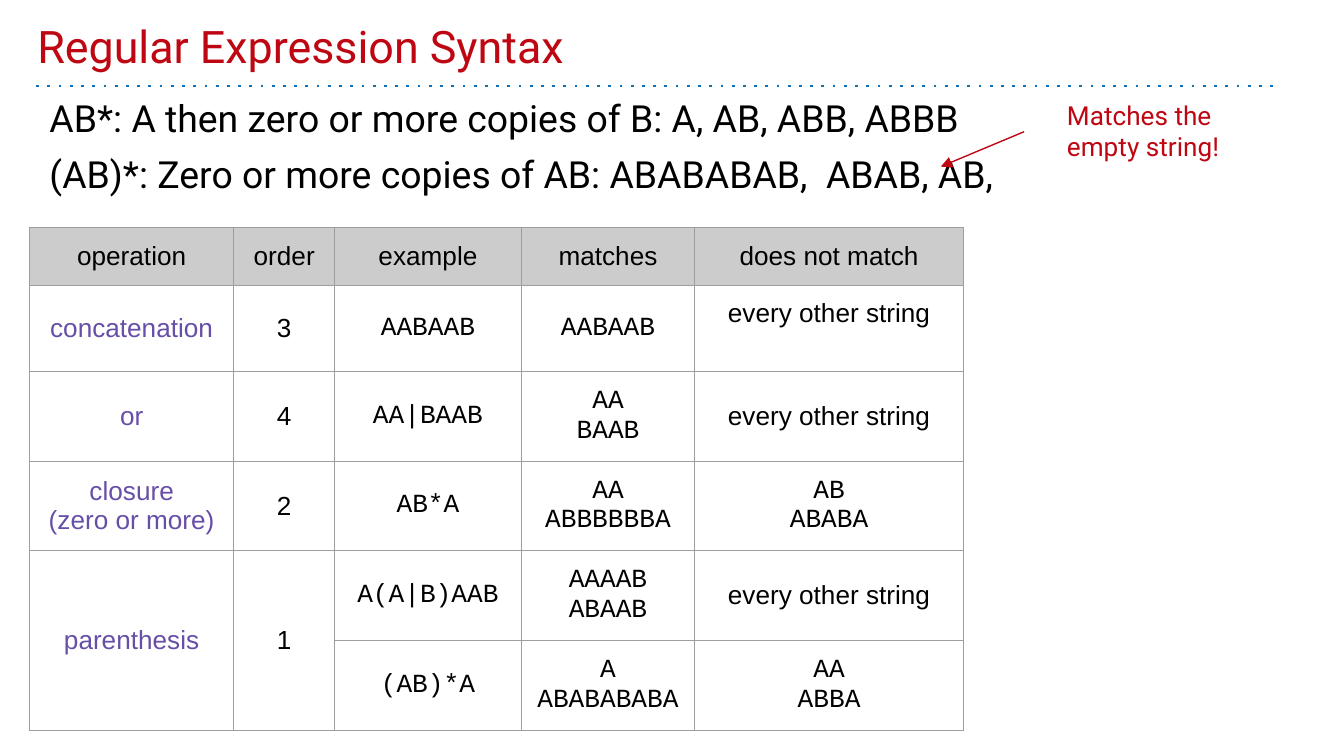
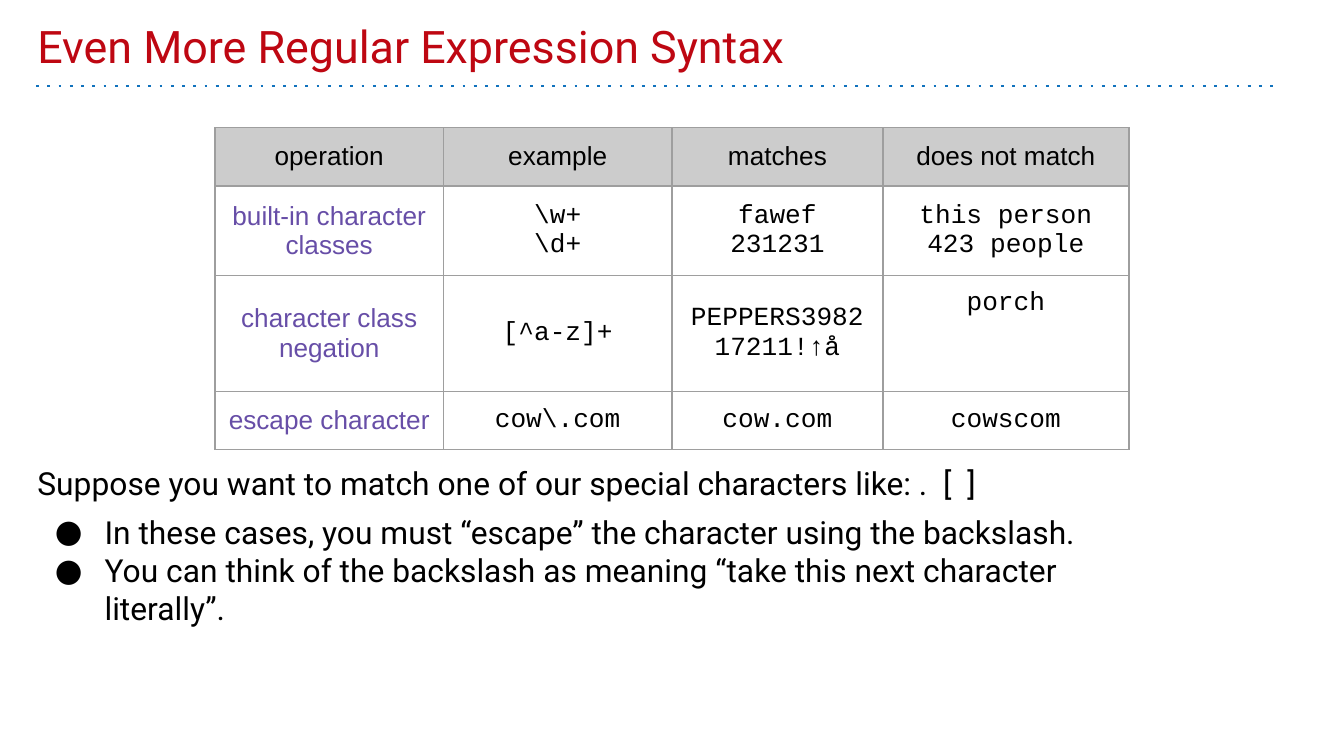
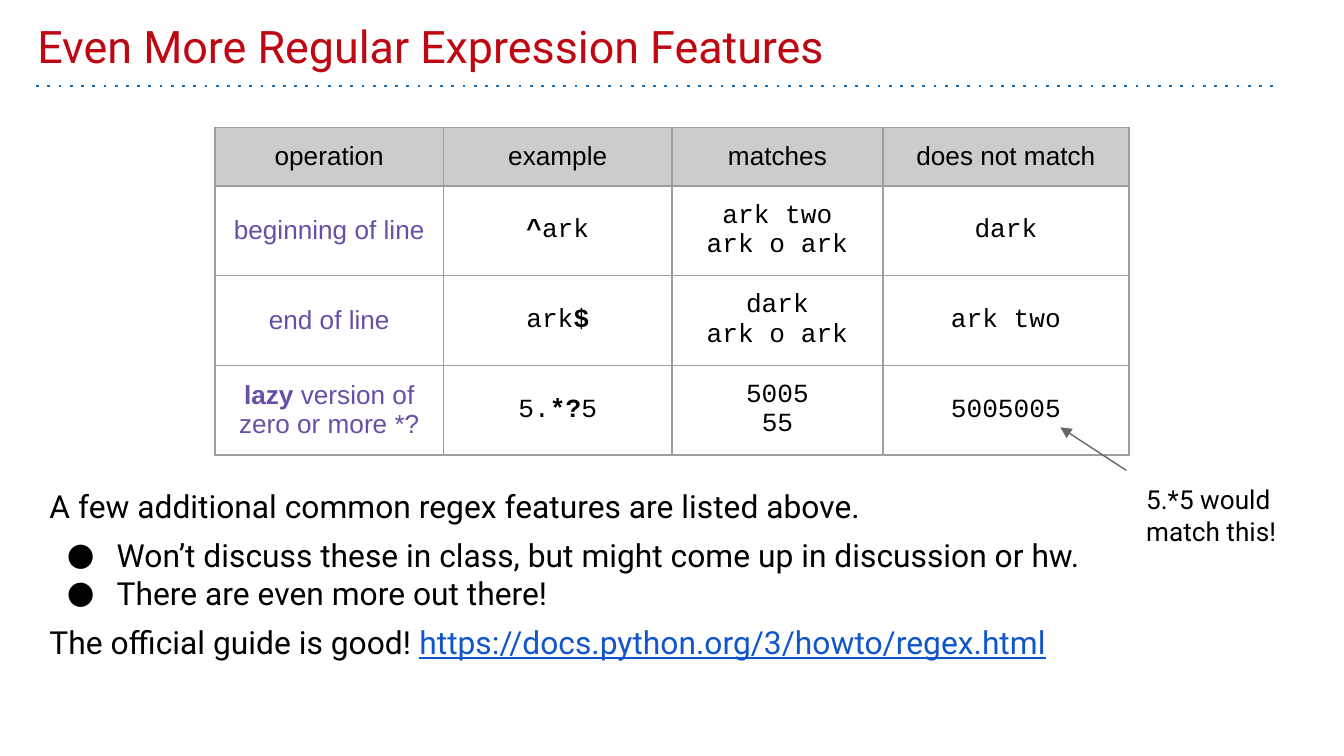
"""Builds three slides on regular expression syntax."""
from dataclasses import dataclass
from typing import NamedTuple, Optional

from lxml.etree import SubElement
from pptx import Presentation
from pptx.dml.color import RGBColor
from pptx.enum.text import MSO_ANCHOR as Anchor, PP_ALIGN as Align
from pptx.oxml.ns import qn
from pptx.slide import Slide
from pptx.text.text import TextFrame, _Paragraph as Paragraph
from pptx.util import Inches, Pt


@dataclass(frozen=True)
class Theme:
    title_color: str = "BE0712"
    rule_color: str = "1072BD"
    text_color: str = "000000"
    label_color: str = "674EA7"
    link_color: str = "1155CC"
    arrow_color: str = "666666"
    border_color: str = "9E9E9E"
    header_fill: str = "CCCCCC"
    cell_fill: str = "FFFFFF"
    text_font: str = "Roboto"
    table_font: str = "Arial"
    code_font: str = "Courier New"
    title_size: float = 24
    large_size: float = 20
    body_size: float = 17
    small_size: float = 14
    inset: float = 0.1
    border_width: float = 0.75


THEME = Theme()
ROW_HEIGHT = 0.42


class Box(NamedTuple):
    left: float
    top: float
    width: float
    height: float


class Point(NamedTuple):
    x: float
    y: float


@dataclass(frozen=True)
class Cell:
    text: str
    font: str = THEME.table_font
    color: str = THEME.text_color
    strong: str = ""
    anchor: Anchor = Anchor.MIDDLE
    row_span: int = 1


@dataclass(frozen=True)
class Line:
    text: str
    bullet: bool = False
    space_before: float = 6
    link: str = ""


@dataclass(frozen=True)
class Grid:
    box: Box
    columns: list[float]
    heights: list[float]
    headings: list[str]
    rows: list[list[Optional[Cell]]]
    fill: str = ""


def label(text: str, **options) -> Cell:
    return Cell(text, color=THEME.label_color, **options)


def code(text: str, **options) -> Cell:
    return Cell(text, font=THEME.code_font, **options)


OTHERS = "every other string"
SYNTAX_GRID = Grid(
    Box(0.22, 1.69, 6.94, 3.77),
    [1.52, 0.75, 1.39, 1.29, 2],
    [ROW_HEIGHT, 0.64] + [ROW_HEIGHT] * 4,
    ["operation", "order", "example", "matches", "does not match"],
    [
        [label("concatenation"), Cell("3"), code("AABAAB"), code("AABAAB"),
         Cell(OTHERS, anchor=Anchor.TOP)],
        [label("or"), Cell("4"), code("AA|BAAB"), code("AA\nBAAB"), Cell(OTHERS)],
        [label("closure\n(zero or more)"), Cell("2"), code("AB*A"),
         code("AA\nABBBBBBA"), code("AB\nABABA")],
        [label("parenthesis", row_span=2), Cell("1", row_span=2),
         code("A(A|B)AAB"), code("AAAAB\nABAAB"), Cell(OTHERS)],
        [None, None, code("(AB)*A"), code("A\nABABABABA"), code("AA\nABBA")],
    ],
)


def four_column_grid(heights: list[float], rows: list[list[Cell]]) -> Grid:
    return Grid(
        Box(1.6, 0.95, 6.79, 2.43),
        [1.7, 1.7, 1.57, 1.83],
        heights,
        ["operation", "example", "matches", "does not match"],
        rows,
        THEME.cell_fill,
    )


CLASSES_GRID = four_column_grid(
    [ROW_HEIGHT, ROW_HEIGHT, 0.86, ROW_HEIGHT],
    [
        [label("built-in character classes"), code("\\w+\n\\d+"),
         code("fawef\n231231"), code("this person\n423 people")],
        [label("character class negation"), code("[^a-z]+"),
         code("PEPPERS3982\n17211!↑å"), code("porch", anchor=Anchor.TOP)],
        [label("escape character"), code("cow\\.com"), code("cow.com"), code("cowscom")],
    ],
)
FEATURES_GRID = four_column_grid(
    [ROW_HEIGHT] * 4,
    [
        [label("beginning of line"), code("^ark", strong="^"),
         code("ark two\nark o ark"), code("dark")],
        [label("end of line"), code("ark$", strong="$"),
         code("dark\nark o ark"), code("ark two")],
        [label("lazy version of zero or more *?", strong="lazy"),
         code("5.*?5", strong="*?"), code("5005\n55"), code("5005005")],
    ],
)


def add_text(paragraph: Paragraph, text: str, *, size: float, font: str = THEME.text_font,
             color: str = THEME.text_color, bold: bool = False,
             underline: bool = False) -> None:
    if not text:
        return
    run = paragraph.add_run()
    run.text = text
    run.font.name = font
    run.font.size = Pt(size)
    run.font.color.rgb = RGBColor.from_string(color)
    run.font.bold = bold
    run.font.underline = underline


def add_paragraph(frame: TextFrame, index: int) -> Paragraph:
    return frame.add_paragraph() if index else frame.paragraphs[0]


def add_solid(parent, color: str) -> None:
    fill = SubElement(parent, qn("a:solidFill"))
    SubElement(fill, qn("a:srgbClr"), val=color)


def set_bullet(paragraph: Paragraph, size: float) -> None:
    properties = paragraph._p.get_or_add_pPr()
    properties.set("marL", str(Inches(0.5)))
    properties.set("indent", str(Inches(-0.37)))
    bullet_color = SubElement(properties, qn("a:buClr"))
    SubElement(bullet_color, qn("a:srgbClr"), val=THEME.text_color)
    SubElement(properties, qn("a:buSzPts"), val=str(int(size * 100)))
    SubElement(properties, qn("a:buFont"), typeface=THEME.text_font)
    SubElement(properties, qn("a:buChar"), char="●")


def add_text_box(slide: Slide, box: Box, lines: list[Line], *, size: float,
                 color: str = THEME.text_color, anchor: Anchor = Anchor.TOP) -> None:
    frame = slide.shapes.add_textbox(*map(Inches, box)).text_frame
    frame.word_wrap = True
    frame.vertical_anchor = anchor
    frame.margin_left = frame.margin_right = Inches(THEME.inset)
    frame.margin_top = frame.margin_bottom = Inches(THEME.inset)
    for index, line in enumerate(lines):
        paragraph = add_paragraph(frame, index)
        paragraph.space_before = Pt(line.space_before)
        if line.bullet:
            set_bullet(paragraph, size)
        add_text(paragraph, line.text, size=size, color=color)
        add_text(paragraph, line.link, size=size, color=THEME.link_color, underline=True)


def add_line(slide: Slide, start: Point, end: Point, *, color: str, width: float,
             dash: str = "", arrow: bool = False) -> None:
    connector = slide.shapes.add_connector(1, *map(Inches, (*start, *end)))
    connector.line.color.rgb = RGBColor.from_string(color)
    connector.line.width = Pt(width)
    outline = connector.line._get_or_add_ln()
    if dash:
        SubElement(outline, qn("a:prstDash"), val=dash)
    if arrow:
        SubElement(outline, qn("a:tailEnd"), type="triangle")
    SubElement(connector._element.spPr, qn("a:effectLst"))


def add_arrow(slide: Slide, start: Point, end: Point, color: str) -> None:
    add_line(slide, start, end, color=color, width=0.75, arrow=True)


def style_cell(table_cell, fill: str) -> None:
    properties = table_cell._tc.get_or_add_tcPr()
    for side in ("lnL", "lnR", "lnT", "lnB"):
        border = SubElement(properties, qn(f"a:{side}"), w=str(Pt(THEME.border_width)))
        add_solid(border, THEME.border_color)
    if fill:
        table_cell.fill.solid()
        table_cell.fill.fore_color.rgb = RGBColor.from_string(fill)
    else:
        table_cell.fill.background()
    table_cell.margin_left = table_cell.margin_right = Inches(THEME.inset)
    table_cell.margin_top = table_cell.margin_bottom = Inches(THEME.inset)


def fill_cell(table_cell, cell: Cell) -> None:
    table_cell.vertical_anchor = cell.anchor
    for index, text in enumerate(cell.text.split("\n")):
        paragraph = add_paragraph(table_cell.text_frame, index)
        paragraph.alignment = Align.CENTER
        paragraph.line_spacing = 1.0
        paragraph.space_before = paragraph.space_after = Pt(0)
        parts = text.partition(cell.strong) if cell.strong else (text,)
        for position, part in enumerate(parts):
            add_text(paragraph, part, size=THEME.small_size, font=cell.font,
                     color=cell.color, bold=position == 1)
        SubElement(paragraph._p, qn("a:endParaRPr"), sz=str(int(THEME.small_size * 100)))


def add_grid(slide: Slide, grid: Grid) -> None:
    rows = [[Cell(heading) for heading in grid.headings], *grid.rows]
    graphic_frame = slide.shapes.add_table(
        len(rows), len(grid.columns), *map(Inches, grid.box))
    table = graphic_frame.table
    table.first_row = table.horz_banding = False
    for column, width in zip(table.columns, grid.columns):
        column.width = Inches(width)
    for row, height in zip(table.rows, grid.heights):
        row.height = Inches(height)
    graphic_frame.height = Inches(grid.box.height)
    for row_index, row in enumerate(rows):
        for column_index, cell in enumerate(row):
            table_cell = table.cell(row_index, column_index)
            style_cell(table_cell, grid.fill if row_index else THEME.header_fill)
            if cell is None:
                continue
            fill_cell(table_cell, cell)
            if cell.row_span > 1:
                last_row = row_index + cell.row_span - 1
                table_cell.merge(table.cell(last_row, column_index))


def add_titled_slide(presentation, title: str) -> Slide:
    slide = presentation.slides.add_slide(presentation.slide_layouts[6])
    add_line(slide, Point(0.27, 0.64), Point(9.5, 0.64),
             color=THEME.rule_color, width=1.5, dash="dot")
    add_text_box(slide, Box(0.18, 0.1, 9, 0.54), [Line(title, space_before=0)],
                 size=THEME.title_size, color=THEME.title_color, anchor=Anchor.BOTTOM)
    return slide


def add_note(slide: Slide, box: Box, text: str, color: str) -> None:
    add_text_box(slide, box, [Line(text, space_before=0)],
                 size=THEME.small_size, color=color)


def build_syntax_slide(presentation) -> None:
    slide = add_titled_slide(presentation, "Regular Expression Syntax")
    add_text_box(slide, Box(0.27, 0.61, 9.23, 1), [
        Line("AB*: A then zero or more copies of B: A, AB, ABB, ABBB"),
        Line("(AB)*: Zero or more copies of AB: ABABABAB,  ABAB, AB,"),
    ], size=THEME.large_size)
    add_arrow(slide, Point(7.62, 0.98), Point(7, 1.24), THEME.title_color)
    add_note(slide, Box(7.84, 0.64, 1.68, 0.43), "Matches the empty string!",
             THEME.title_color)
    add_grid(slide, SYNTAX_GRID)


def build_classes_slide(presentation) -> None:
    slide = add_titled_slide(presentation, "Even More Regular Expression Syntax")
    add_grid(slide, CLASSES_GRID)
    add_text_box(slide, Box(0.18, 3.35, 8.6, 1.69), [
        Line("Suppose you want to match one of our special characters like: .  [  ]"),
        Line("In these cases, you must “escape” the character using the backslash.",
             bullet=True),
        Line("You can think of the backslash as meaning “take this next character "
             "literally”.", bullet=True, space_before=0),
    ], size=THEME.body_size)


def build_features_slide(presentation) -> None:
    slide = add_titled_slide(presentation, "Even More Regular Expression Features")
    add_text_box(slide, Box(0.27, 3.52, 9.23, 1.81), [
        Line("A few additional common regex features are listed above."),
        Line("Won’t discuss these in class, but might come up in discussion or hw.",
             bullet=True),
        Line("There are even more out there!", bullet=True, space_before=0),
        Line("The official guide is good! ",
             link="https://docs.python.org/3/howto/regex.html"),
    ], size=THEME.body_size)
    add_grid(slide, FEATURES_GRID)
    add_arrow(slide, Point(8.38, 3.5), Point(7.89, 3.18), THEME.arrow_color)
    add_note(slide, Box(8.43, 3.5, 1.34, 0.37), "5.*5 would match this!",
             THEME.text_color)


def main() -> None:
    presentation = Presentation()
    presentation.slide_width = Inches(10)
    presentation.slide_height = presentation.slide_width * 9 // 16
    build_syntax_slide(presentation)
    build_classes_slide(presentation)
    build_features_slide(presentation)
    presentation.save("out.pptx")


if __name__ == "__main__":
    main()
